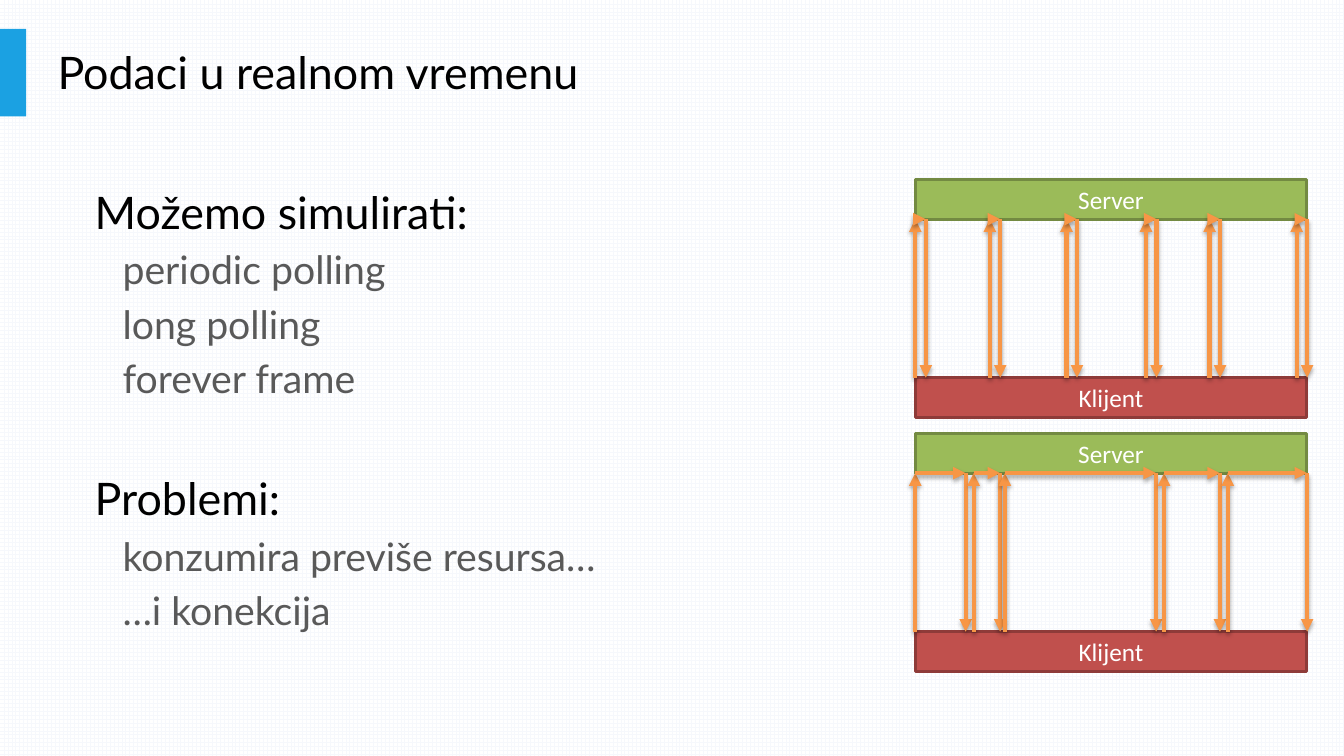
from lxml import etree
from pptx import Presentation
from pptx.dml.color import RGBColor
from pptx.enum import dml, shapes, text
from pptx.oxml import ns
from pptx.util import Pt

HUE = {"accent": "1BA1E2", "black": "000000", "gray": "595959", "white": "FFFFFF",
       "grid": "F6F8FC", "server": "9BBB59", "server edge": "738A42",
       "client": "C0504D", "client edge": "8E3B39", "arrow": "F79646"}
RGB = {name: RGBColor.from_string(code) for name, code in HUE.items()}
SHADOW = (f'<a:effectLst {ns.nsdecls("a")}><a:outerShdw blurRad="{Pt(3.1)}" '
          f'dist="{Pt(1.8)}" dir="5400000" rotWithShape="0"><a:srgbClr val="{HUE["black"]}">'
          '<a:alpha val="35000"/></a:srgbClr></a:outerShdw></a:effectLst>')

deck = Presentation()
deck.slide_width, deck.slide_height = Pt(960), Pt(540)
slide = deck.slides.add_slide(deck.slide_layouts[6])
back = slide.background.fill
back.patterned()
back.pattern = dml.MSO_PATTERN.LARGE_GRID
back.fore_color.rgb, back.back_color.rgb = RGB["grid"], RGB["white"]


def add_bar(x, y, w, h, hue):
    bar = slide.shapes.add_shape(shapes.MSO_SHAPE.RECTANGLE, Pt(x), Pt(y), Pt(w), Pt(h))
    bar.shadow.inherit = False
    bar.fill.solid()
    bar.fill.fore_color.rgb = RGB[hue]
    return bar


def write(para, words, size, hue, face="Lato"):
    para.text = words
    font = para.font
    font.name, font.size, font.color.rgb = face, Pt(size), RGB[hue]


# Title and body
add_bar(0, 20.6, 18.7, 62.5, "accent").line.fill.background()
title = slide.shapes.add_textbox(Pt(34), Pt(20.6), Pt(680), Pt(61.4)).text_frame
title.word_wrap = True
title.vertical_anchor = text.MSO_ANCHOR.MIDDLE
write(title.paragraphs[0], "Podaci u realnom vremenu", 32, "black")

body = slide.shapes.add_textbox(Pt(60.5), Pt(128.2), Pt(572), Pt(356)).text_frame
body.word_wrap = True
topics = [
    ("Možemo simulirati:", 5.2, ["periodic polling", "long polling", "forever frame"]),
    ("Problemi:", 49.8, ["konzumira previše resursa…", "…i konekcija"]),
]
para = body.paragraphs[0]
for head, gap, items in topics:
    if para.text:
        para = body.add_paragraph()
    write(para, head, 32, "black")
    para.space_before = Pt(gap)
    for item in items:
        para = body.add_paragraph()
        write(para, item, 28, "gray")
        para.level = 1
        para.space_before = Pt(5.2)
        props = para._p.get_or_add_pPr()
        props.set("marL", str(Pt(20)))
        props.set("indent", "0")

# Two timelines: each trip is the time of request and the time of reply
LEFT, WIDTH, BAR, DROP = 653.8, 279.6, 28.4, 141.6
short = [(x, x + 7.5) for x in (LEFT, 707, 761.8, 818.6, 864, 926.2)]
long = [(LEFT, 689.8), (695.5, 714.4), (717.8, 825.8), (831.5, 871.4), (877, 933.7)]
for top, trips in ((128.2, short), (309.6, long)):
    for y, label, hue in ((top, "Server", "server"), (top + DROP, "Klijent", "client")):
        bar = add_bar(LEFT, y, WIDTH, BAR, hue)
        bar.line.color.rgb, bar.line.width = RGB[hue + " edge"], Pt(2)
        frame = bar.text_frame
        frame.vertical_anchor = text.MSO_ANCHOR.MIDDLE
        write(frame.paragraphs[0], label, 18, "white", "Calibri")
        frame.paragraphs[0].alignment = text.PP_ALIGN.CENTER
    high, low = top + BAR, top + DROP
    for ask, reply in trips:
        stops = [(ask, low), (ask, high), (reply, high), (reply, low)]
        for start, end in zip(stops, stops[1:]):
            arrow = slide.shapes.add_connector(
                shapes.MSO_CONNECTOR.STRAIGHT, *map(Pt, start + end))
            arrow.line.color.rgb, arrow.line.width = RGB["arrow"], Pt(3)
            etree.SubElement(arrow.line._get_or_add_ln(), ns.qn("a:tailEnd"), type="triangle")
            arrow._element.spPr.append(etree.fromstring(SHADOW))

deck.save("out.pptx")
